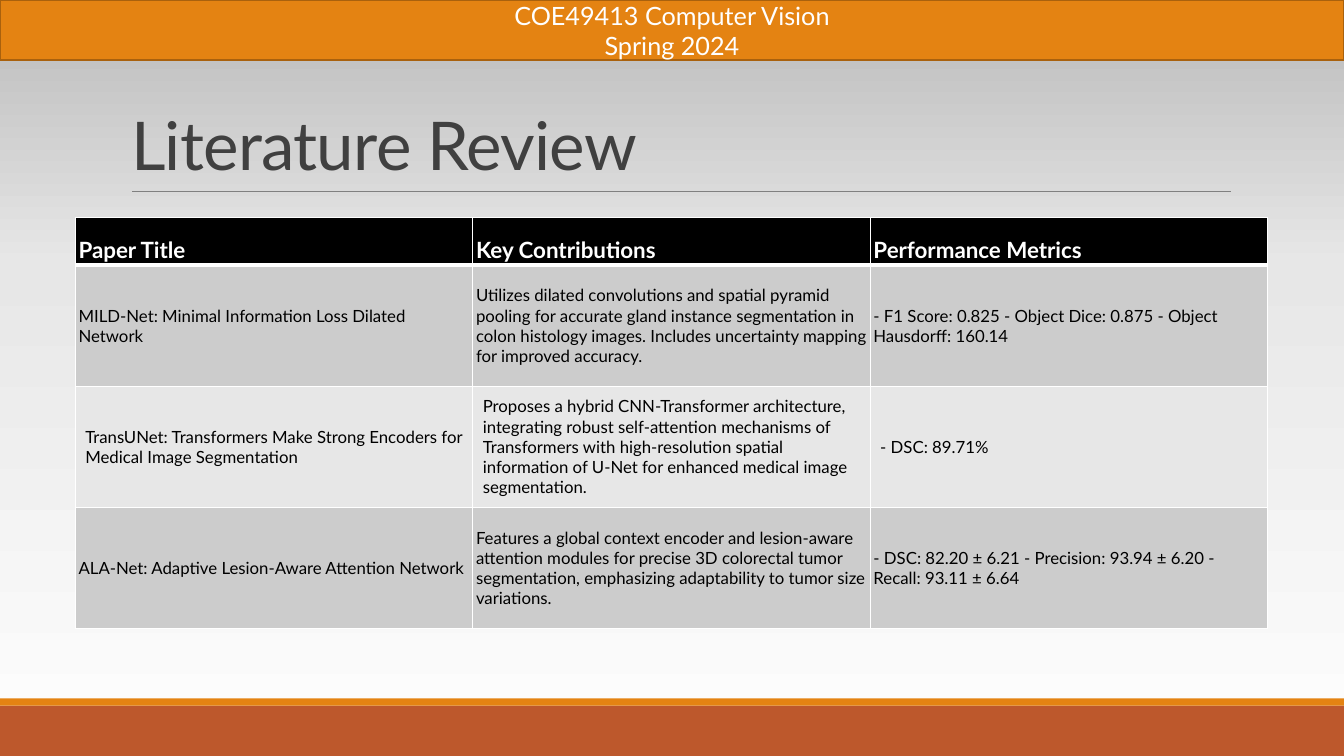
import copy
import dataclasses

import lxml.etree
import pptx
import pptx.dml.color
import pptx.enum.shapes
import pptx.enum.text
import pptx.oxml.ns
import pptx.util

Cm = pptx.util.Cm
Pt = pptx.util.Pt
qn = pptx.oxml.ns.qn
Align = pptx.enum.text.PP_ALIGN
Anchor = pptx.enum.text.MSO_ANCHOR


def rgb(code):
    return pptx.dml.color.RGBColor.from_string(code)


def apply_format(target, values):
    for name, value in values.items():
        setattr(target, name, value)


@dataclasses.dataclass(frozen=True)
class Theme:
    font: str = "Lato"
    backdrop: tuple = ((0, "FEFEFE"), (0.65, "E7E7E7"), (1, "B9B9B9"))
    orange: str = "E48312"
    orange_edge: str = "A9610D"
    rust: str = "BD582C"
    rule: str = "808080"
    title: str = "404040"
    white: str = "FFFFFF"
    black: str = "000000"
    bands: tuple = ("CCCCCC", "E7E7E7")
    title_size: int = 48
    course_size: int = 18
    header_size: int = 16
    body_size: int = 12


class ReviewSlide:
    def __init__(self, deck, theme):
        self.theme = theme
        self.slide = deck.slides.add_slide(deck.slide_layouts[5])

    def background(self):
        fill = self.slide.background.fill
        fill.gradient()
        fill.gradient_angle = 90
        stop_list = self.slide.element.find(".//" + qn("a:gsLst"))
        stop_list.insert(1, copy.deepcopy(stop_list[0]))
        for stop, (position, color) in zip(fill.gradient_stops, self.theme.backdrop):
            stop.position = position
            stop.color.rgb = rgb(color)

    def add_text(self, paragraph, text, size, color, bold=False):
        run = paragraph.add_run()
        run.text = text
        apply_format(run.font, {"name": self.theme.font, "size": Pt(size), "bold": bold})
        run.font.color.rgb = rgb(color)
        return run

    def bar(self, top, height, color, edge=None):
        band = self.slide.shapes.add_shape(
            pptx.enum.shapes.MSO_SHAPE.RECTANGLE, 0, Cm(top), Cm(33.87), Cm(height))
        band.shadow.inherit = False
        band.fill.solid()
        band.fill.fore_color.rgb = rgb(color)
        if edge:
            band.line.color.rgb = rgb(edge)
            band.line.width = Pt(1.25)
        else:
            band.line.fill.background()
        return band

    def course_banner(self, lines):
        frame = self.bar(0, 1.52, self.theme.orange, self.theme.orange_edge).text_frame
        frame.vertical_anchor = Anchor.MIDDLE
        for index, line in enumerate(lines):
            paragraph = frame.add_paragraph() if index else frame.paragraphs[0]
            paragraph.alignment = Align.CENTER
            self.add_text(paragraph, line, self.theme.course_size, self.theme.white)

    def rule(self, left, right, top):
        divider = self.slide.shapes.add_connector(
            pptx.enum.shapes.MSO_CONNECTOR.STRAIGHT, Cm(left), Cm(top), Cm(right), Cm(top))
        divider.line.color.rgb = rgb(self.theme.rule)
        divider.line.width = Pt(0.5)
        lxml.etree.SubElement(divider._element.spPr, qn("a:effectLst"))

    def title(self, text):
        heading = self.slide.shapes.title
        apply_format(heading, {"left": Cm(3.05), "top": Cm(0.74),
                               "width": Cm(27.94), "height": Cm(4.04)})
        apply_format(heading.text_frame, {
            "vertical_anchor": Anchor.BOTTOM, "word_wrap": True,
            "auto_size": pptx.enum.text.MSO_AUTO_SIZE.NONE})
        paragraph = heading.text_frame.paragraphs[0]
        apply_format(paragraph, {"alignment": Align.LEFT, "line_spacing": 0.85})
        run = self.add_text(paragraph, text, self.theme.title_size, self.theme.title)
        run._r.get_or_add_rPr().set("spc", "-50")

    def borders(self, cell, widths):
        properties = cell._tc.get_or_add_tcPr()
        for index, (side, width) in enumerate(widths.items()):
            edge = lxml.etree.Element(qn("a:ln" + side), w=str(int(Pt(width))))
            paint = lxml.etree.SubElement(edge, qn("a:solidFill"))
            lxml.etree.SubElement(paint, qn("a:srgbClr"), val=self.theme.white)
            properties.insert(index, edge)

    def cell(self, cell, text, row):
        theme = self.theme
        header = row == 0
        cell.fill.solid()
        cell.fill.fore_color.rgb = rgb(theme.black if header else theme.bands[(row - 1) % 2])
        side, end = (0.25, 0.13) if row == 2 else (0.08, 0.05)
        apply_format(cell, {
            "vertical_anchor": Anchor.BOTTOM if header else Anchor.MIDDLE,
            "margin_left": Cm(side), "margin_right": Cm(side),
            "margin_top": Cm(end), "margin_bottom": Cm(end)})
        self.borders(cell, {"L": 1, "R": 1, "T": 3 if row == 1 else 1, "B": 3 if header else 1})
        self.add_text(cell.text_frame.paragraphs[0], text,
                      theme.header_size if header else theme.body_size,
                      theme.white if header else theme.black, header)

    def table(self, papers):
        heights = [1.19] + [3.05] * (len(papers) - 1)
        grid = self.slide.shapes.add_table(
            len(papers), len(papers[0]), Cm(1.9), Cm(5.49), Cm(30.05), Cm(sum(heights))).table
        for row, (paper, height) in enumerate(zip(papers, heights)):
            grid.rows[row].height = Cm(height)
            for column, text in enumerate(paper):
                self.cell(grid.cell(row, column), text, row)


PAPERS = [
    ("Paper Title", "Key Contributions", "Performance Metrics"),
    ("MILD-Net: Minimal Information Loss Dilated Network",
     "Utilizes dilated convolutions and spatial pyramid pooling for accurate gland instance "
     "segmentation in colon histology images. Includes uncertainty mapping for improved accuracy.",
     "- F1 Score: 0.825 - Object Dice: 0.875 - Object Hausdorff: 160.14"),
    ("TransUNet: Transformers Make Strong Encoders for Medical Image Segmentation",
     "Proposes a hybrid CNN-Transformer architecture, integrating robust self-attention "
     "mechanisms of Transformers with high-resolution spatial information of U-Net for "
     "enhanced medical image segmentation.",
     "- DSC: 89.71%"),
    ("ALA-Net: Adaptive Lesion-Aware Attention Network",
     "Features a global context encoder and lesion-aware attention modules for precise 3D "
     "colorectal tumor segmentation, emphasizing adaptability to tumor size variations.",
     "- DSC: 82.20 ± 6.21 - Precision: 93.94 ± 6.20 - Recall: 93.11 ± 6.64"),
]


def main():
    deck = pptx.Presentation()
    apply_format(deck, {"slide_width": Cm(33.87), "slide_height": Cm(19.05)})
    theme = Theme()
    review = ReviewSlide(deck, theme)
    review.background()
    review.bar(17.78, 1.27, theme.rust)
    review.bar(17.6, 0.18, theme.orange)
    review.rule(3.33, 31.01, 4.82)
    review.course_banner(["COE49413 Computer Vision", "Spring 2024"])
    review.title("Literature Review")
    review.table(PAPERS)
    deck.save("out.pptx")


if __name__ == "__main__":
    main()
